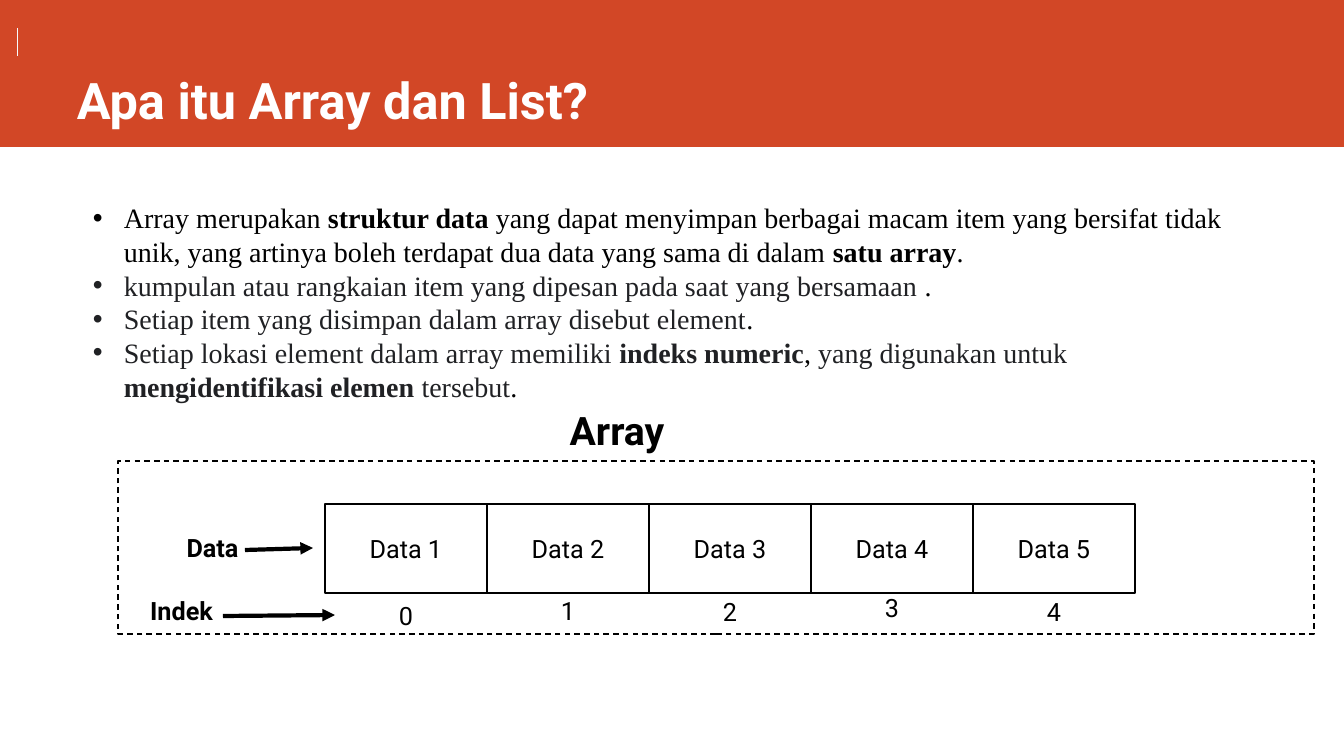
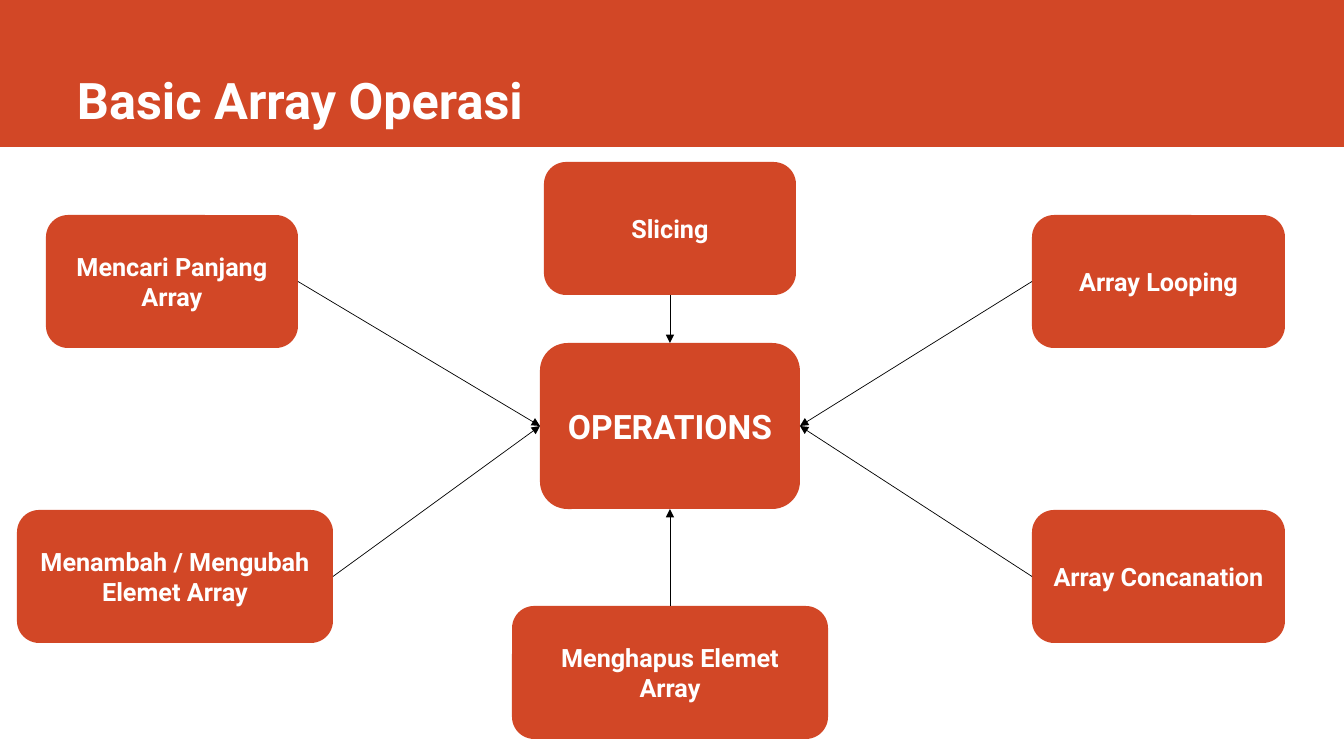
from lxml.etree import SubElement
from pptx import Presentation
from pptx.dml.color import RGBColor
from pptx.enum.dml import MSO_LINE
from pptx.enum.shapes import MSO_CONNECTOR, MSO_SHAPE
from pptx.enum.text import MSO_ANCHOR as Anchor, PP_ALIGN as Align
from pptx.oxml.ns import qn
from pptx.util import Emu, Pt

ORANGE = RGBColor(0xD2, 0x47, 0x26)
WHITE = RGBColor(0xFF, 0xFF, 0xFF)
BLACK = RGBColor(0x00, 0x00, 0x00)
CHARCOAL = RGBColor(0x20, 0x21, 0x24)
PALE = RGBColor(0xF8, 0xF9, 0xFA)
SANS, SERIF = "Roboto", "Times New Roman"
WIDTH, HEIGHT = 1344, 756
TOP, LEFT, BOTTOM, RIGHT = range(4)  # connection sites of a box


def px(length):
    return Emu(round(length * 12192000 / WIDTH))


class Deck:
    def __init__(self):
        self.show = Presentation()
        self.show.slide_width, self.show.slide_height = px(WIDTH), px(HEIGHT)
        self.shapes = None

    def new_slide(self, title):
        """Start a slide with the shared band and title."""
        self.shapes = self.show.slides.add_slide(self.show.slide_layouts[6]).shapes
        self.box((0, 0, WIDTH, 147), fill=ORANGE)
        self.label((67, 0, 1184, 135), title, 36, WHITE, True, Align.LEFT, Anchor.BOTTOM)

    def add_run(self, paragraph, text, size, color, bold=False, font=SANS):
        run = paragraph.add_run()
        run.text = text
        run.font.name, run.font.size, run.font.bold = font, Pt(size), bold
        run.font.color.rgb = color

    def set_text(self, shape, text, size, color, bold=False, align=Align.CENTER, anchor=Anchor.MIDDLE):
        frame = shape.text_frame
        frame.word_wrap, frame.vertical_anchor = True, anchor
        paragraph = frame.paragraphs[0]
        paragraph.alignment = align
        self.add_run(paragraph, text, size, color, bold)

    def label(self, area, text, size=18, color=BLACK, bold=False, align=Align.CENTER, anchor=Anchor.MIDDLE):
        self.set_text(self.shapes.add_textbox(*map(px, area)), text, size, color, bold, align, anchor)

    def box(self, area, fill=WHITE, outline=None, dash=None, kind=MSO_SHAPE.RECTANGLE):
        shape = self.shapes.add_shape(kind, *map(px, area))
        shape.shadow.inherit = False
        shape.fill.solid()
        shape.fill.fore_color.rgb = fill
        if outline is None:
            shape.line.fill.background()
        else:
            shape.line.color.rgb = outline
            shape.line.width = Pt(1)
            shape.line.dash_style = dash
        return shape

    def operation(self, area, text, size=18):
        box = self.box(area, ORANGE, kind=MSO_SHAPE.ROUNDED_RECTANGLE)
        self.set_text(box, text, size, WHITE, True)
        return box

    def line(self, start=(0, 0), end=(0, 0), weight=0.5, color=BLACK, arrow=True):
        line = self.shapes.add_connector(MSO_CONNECTOR.STRAIGHT, *map(px, (*start, *end)))
        line.line.color.rgb = color
        line.line.width = Pt(weight)
        properties = line.element.spPr
        if arrow:
            SubElement(properties.find(qn("a:ln")), qn("a:tailEnd"), type="triangle")
        SubElement(properties, qn("a:effectLst"))
        return line

    def link(self, source, source_site, target, target_site):
        arrow = self.line()
        arrow.begin_connect(source, source_site)
        arrow.end_connect(target, target_site)

    def bullets(self, area, items, size):
        frame = self.shapes.add_textbox(*map(px, area)).text_frame
        frame.word_wrap = True
        for number, runs in enumerate(items):
            paragraph = frame.add_paragraph() if number else frame.paragraphs[0]
            properties = paragraph._p.get_or_add_pPr()
            properties.set("marL", str(px(31)))
            properties.set("indent", str(-px(31)))
            SubElement(properties, qn("a:buFont"), typeface="Arial")
            SubElement(properties, qn("a:buChar"), char="•")
            for text, color, bold in runs:
                self.add_run(paragraph, text, size, color, bold, SERIF)


ARRAY_FACTS = [
    [("Array merupakan ", BLACK, False),
     ("struktur data", BLACK, True),
     (" yang dapat menyimpan berbagai macam item yang bersifat tidak unik, yang artinya "
      "boleh terdapat dua data yang sama di dalam ", BLACK, False),
     ("satu array", BLACK, True),
     (".", BLACK, False)],
    [("kumpulan atau rangkaian item yang dipesan pada saat yang bersamaan ", CHARCOAL, False),
     (".", BLACK, False)],
    [("Setiap item yang disimpan dalam array disebut element", CHARCOAL, False),
     (".", BLACK, False)],
    [("Setiap lokasi element dalam array memiliki ", CHARCOAL, False),
     ("indeks numeric", CHARCOAL, True),
     (",", BLACK, False),
     (" yang digunakan untuk ", CHARCOAL, False),
     ("mengidentifikasi elemen ", CHARCOAL, True),
     ("tersebut", CHARCOAL, False),
     (".", BLACK, False)],
]


def array_slide(deck):
    deck.new_slide("Apa itu Array dan List?")
    deck.bullets((83, 196, 1178, 214), ARRAY_FACTS, 20)
    deck.line((17, 28), (17, 56), color=PALE, arrow=False)
    deck.label((504, 401, 226, 57), "Array", 28, bold=True)
    deck.box((118, 461, 1196, 173), outline=BLACK, dash=MSO_LINE.DASH)

    cell_width, index_width = 162, 74
    for index, index_top in enumerate((595, 590, 591, 587, 591)):
        left = 325 + index * cell_width
        cell = deck.box((left, 504, cell_width, 89), outline=BLACK)
        deck.set_text(cell, f"Data {index + 1}", 18, BLACK)
        index_left = left + (cell_width - index_width) // 2
        deck.label((index_left, index_top, index_width, 40), str(index))

    for name, left, top, start, end in (
        ("Data", 156, 527, (245, 550), (313, 548)),
        ("Indek", 125, 590, (223, 616), (335, 615)),
    ):
        deck.label((left, top, 113, 40), name, bold=True)
        deck.line(start, end, weight=3)


def operations_slide(deck):
    deck.new_slide("Basic Array Operasi")
    hub = deck.operation((540, 343, 260, 166), "OPERATIONS", 24)
    for text, left, top, width, site, hub_site in (
        ("Mencari Panjang Array", 46, 215, 252, RIGHT, LEFT),
        ("Menambah / Mengubah Elemet Array", 17, 510, 316, RIGHT, LEFT),
        ("Menghapus Elemet Array", 512, 606, 316, TOP, BOTTOM),
        ("Slicing", 544, 162, 252, BOTTOM, TOP),
        ("Array Looping", 1032, 215, 253, LEFT, RIGHT),
        ("Array Concanation", 1032, 510, 253, LEFT, RIGHT),
    ):
        deck.link(deck.operation((left, top, width, 133), text), site, hub, hub_site)


def main():
    deck = Deck()
    array_slide(deck)
    operations_slide(deck)
    deck.show.save("out.pptx")


if __name__ == "__main__":
    main()
